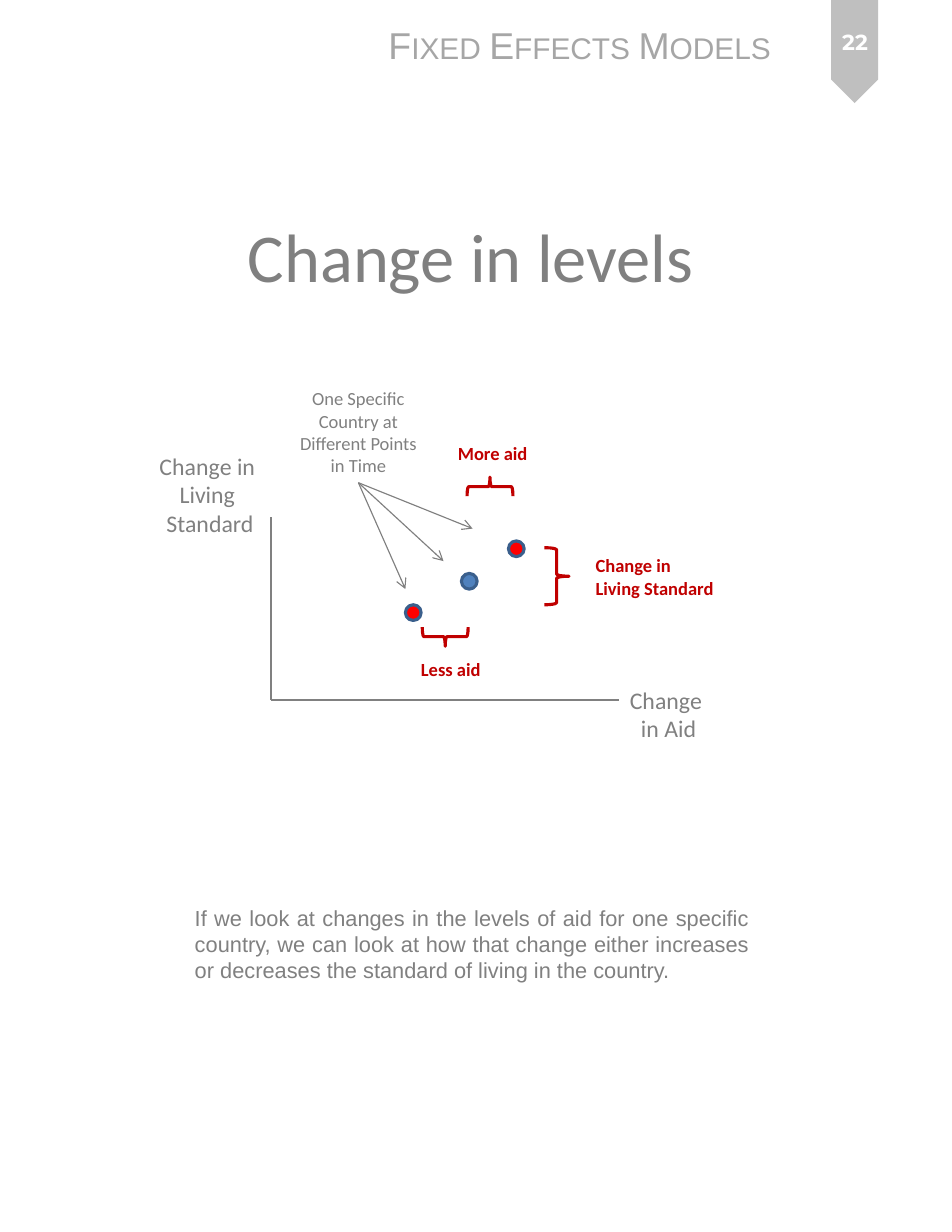
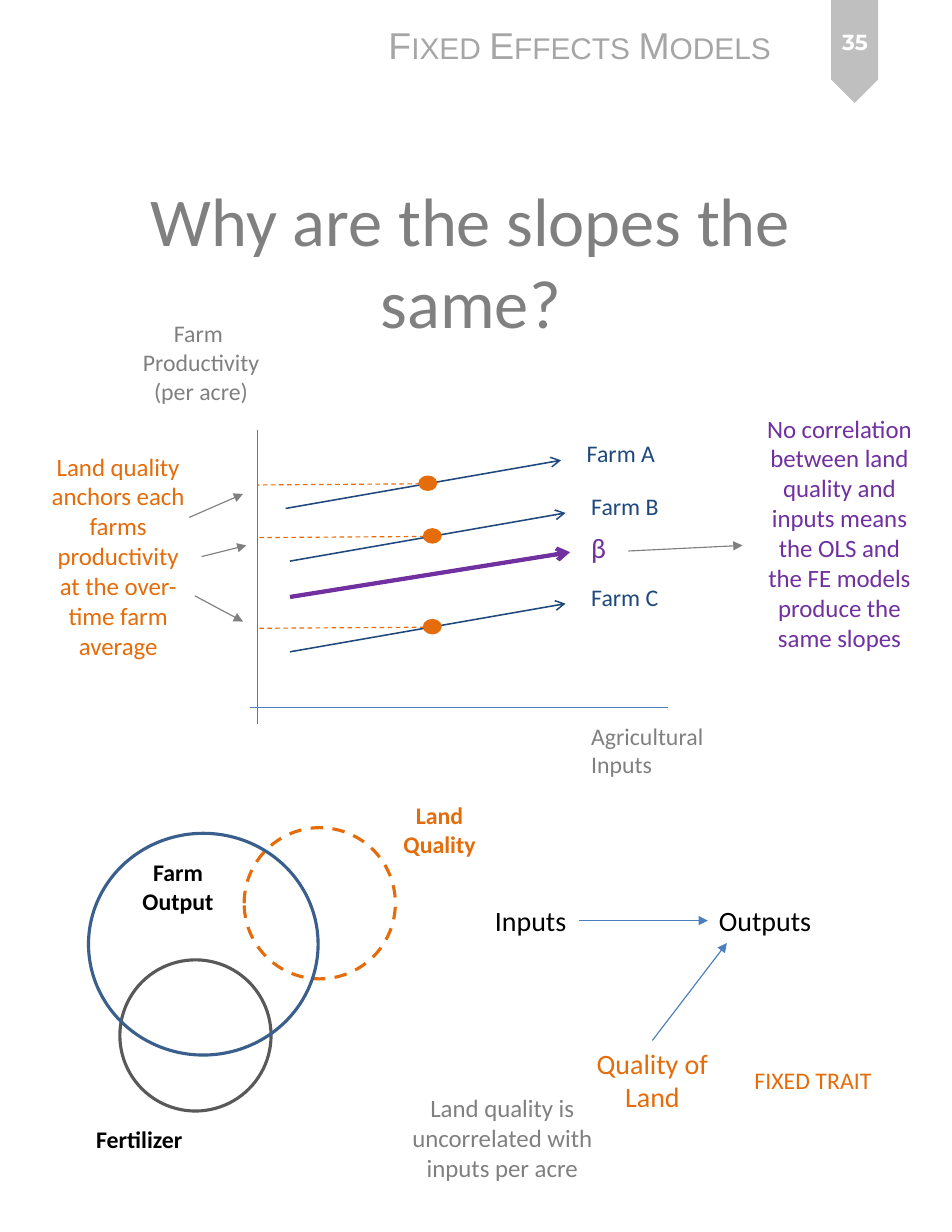
from dataclasses import dataclass

import lxml.etree
import pptx
import pptx.dml.color
import pptx.enum.dml
import pptx.enum.shapes
import pptx.enum.text
import pptx.oxml.ns
import pptx.util

Inches = pptx.util.Inches
Pt = pptx.util.Pt
ALIGN = pptx.enum.text.PP_ALIGN
ANCHOR = pptx.enum.text.MSO_ANCHOR
FIT = pptx.enum.text.MSO_AUTO_SIZE
SHAPE = pptx.enum.shapes.MSO_SHAPE
DASH = pptx.enum.dml.MSO_LINE.DASH
COLORS = {
    "band": "BFBFBF",
    "header": "A6A6A6",
    "gray": "808080",
    "dark": "595959",
    "white": "FFFFFF",
    "black": "000000",
    "red": "FF0000",
    "crimson": "C00000",
    "orange": "E46C0A",
    "purple": "7030A0",
    "navy": "1F497D",
    "blue": "4F81BD",
    "axis": "4B7EBC",
    "outline": "3A5F8C",
}


@dataclass
class Label:
    text: str
    left: float
    top: float
    width: float
    height: float
    size: float = 15.3
    color: str = "gray"
    bold: bool = False
    align: ALIGN = ALIGN.CENTER
    wrap: bool = False
    font: str = "Calibri"
    fill: str | None = None
    anchor: ANCHOR = ANCHOR.TOP
    fit: FIT = FIT.SHAPE_TO_FIT_TEXT


@dataclass
class Figure:
    kind: SHAPE
    left: float
    top: float
    width: float
    height: float
    fill: str | None = None
    line: str | None = None
    dashed: bool = False
    rotation: float = 0


@dataclass
class Stroke:
    start: tuple[float, float]
    end: tuple[float, float]
    color: str = "gray"
    weight: float = 0.75
    head: str | None = None
    dashed: bool = False


@dataclass
class Farm:
    name: str
    left: float
    top: float


def rgb(name: str) -> pptx.dml.color.RGBColor:
    return pptx.dml.color.RGBColor.from_string(COLORS[name])


def style(para, size: float, color: str, font: str, bold: bool, align: ALIGN) -> None:
    para.alignment = align
    para.font.size = Pt(size)
    para.font.name = font
    para.font.bold = bold
    para.font.color.rgb = rgb(color)


def draw_label(page, label: Label):
    box = page.shapes.add_textbox(
        Inches(label.left), Inches(label.top), Inches(label.width), Inches(label.height)
    )
    if label.fill:
        box.fill.solid()
        box.fill.fore_color.rgb = rgb(label.fill)
    frame = box.text_frame
    frame.word_wrap = label.wrap
    frame.auto_size = label.fit
    frame.vertical_anchor = label.anchor
    para = frame.paragraphs[0]
    para.text = label.text
    style(para, label.size, label.color, label.font, label.bold, label.align)
    return box


def draw_figure(page, figure: Figure) -> None:
    shape = page.shapes.add_shape(
        figure.kind,
        Inches(figure.left),
        Inches(figure.top),
        Inches(figure.width),
        Inches(figure.height),
    )
    shape.shadow.inherit = False
    shape.rotation = figure.rotation
    if figure.fill:
        shape.fill.solid()
        shape.fill.fore_color.rgb = rgb(figure.fill)
    else:
        shape.fill.background()
    if figure.line:
        shape.line.color.rgb = rgb(figure.line)
        shape.line.width = Pt(2)
    else:
        shape.line.fill.background()
    if figure.dashed:
        shape.line.dash_style = DASH


def draw_stroke(page, stroke: Stroke):
    points = [Inches(value) for value in (*stroke.start, *stroke.end)]
    connector = page.shapes.add_connector(
        pptx.enum.shapes.MSO_CONNECTOR.STRAIGHT, *points
    )
    connector.line.color.rgb = rgb(stroke.color)
    connector.line.width = Pt(stroke.weight)
    if stroke.dashed:
        connector.line.dash_style = DASH
    qualified = pptx.oxml.ns.qn
    properties = connector._element.spPr
    if stroke.head:
        outline = properties.find(qualified("a:ln"))
        lxml.etree.SubElement(outline, qualified("a:tailEnd"), type=stroke.head)
    lxml.etree.SubElement(properties, qualified("a:effectLst"))
    return connector


def draw_all(page, items: list[Label | Figure | Stroke]) -> None:
    drawers = {Label: draw_label, Figure: draw_figure, Stroke: draw_stroke}
    for item in items:
        drawers[type(item)](page, item)


def add_page(deck, title: str, title_top: float, number: str):
    page = deck.slides.add_slide(deck.slide_layouts[5])
    heading = page.shapes.title
    heading.left, heading.top = Inches(0.38), Inches(title_top)
    heading.width, heading.height = Inches(7.65), Inches(1.83)
    heading.text_frame.auto_size = FIT.NONE
    heading.text_frame.vertical_anchor = ANCHOR.MIDDLE
    heading.text_frame.text = title
    style(heading.text_frame.paragraphs[0], 44, "gray", "Calibri", False, ALIGN.CENTER)

    draw_figure(
        page, Figure(SHAPE.PENTAGON, 7.17, 0.25, 0.92, 0.42, fill="band", rotation=90)
    )
    header = draw_label(
        page,
        Label("Fixed Effects Models", 3.37, 0.15, 3.68, 0.5, 24, "header",
              align=ALIGN.LEFT, font="Arial"),
    )
    span = header.text_frame.paragraphs[0].runs[0]
    span._r.get_or_add_rPr().set("cap", "small")
    draw_label(
        page,
        Label(number, 7.26, 0.08, 0.75, 0.59, 14, "white", True, wrap=True,
              font="Montserrat", anchor=ANCHOR.MIDDLE, fit=FIT.NONE),
    )
    return page


def build_levels(deck) -> None:
    page = add_page(deck, "Change in levels", 1.36, "22")
    origin = (2.42, 6.25)
    draw_all(page, [Stroke((2.42, 4.62), origin), Stroke(origin, (5.53, 6.25))])
    for left, top, fill in ((4.12, 5.12, "blue"), (3.62, 5.4, "red"), (4.54, 4.83, "red")):
        draw_figure(page, Figure(SHAPE.OVAL, left, top, 0.14, 0.14, fill, "outline"))

    for left, top, width, height, rotation in (
        (4.86, 4.89, 0.22, 0.51, 0),
        (3.89, 5.48, 0.17, 0.41, 90),
        (4.29, 4.14, 0.17, 0.41, 270),
    ):
        draw_figure(
            page,
            Figure(SHAPE.RIGHT_BRACE, left, top, width, height,
                   line="crimson", rotation=rotation),
        )
    for text, left, top, width, height, fill in (
        ("Change in \nLiving Standard", 5.22, 4.9, 1.27, 0.5, None),
        ("Less aid", 3.66, 5.83, 0.74, 0.3, "white"),
        ("More aid", 3.99, 3.9, 0.83, 0.3, "white"),
    ):
        draw_label(
            page,
            Label(text, left, top, width, height, 11.9, "crimson", True,
                  ALIGN.LEFT, fill=fill),
        )

    draw_all(page, [
        Label("Change in \nLiving \nStandard", 1.32, 3.98, 1.11, 0.87),
        Label("Change \nin Aid", 5.52, 6.07, 0.9, 0.62),
        Label(
            "If we look at changes in the levels of aid for one specific country, "
            "we can look at how that change either increases or decreases the "
            "standard of living in the country.",
            1.64, 8.03, 5.15, 0.81, 14, align=ALIGN.JUSTIFY, wrap=True, font="Arial",
        ),
    ])
    country = draw_label(
        page,
        Label("One Specific Country at Different Points in Time",
              2.58, 3.41, 1.24, 0.9, 11.9, wrap=True),
    )
    for target in ((3.96, 5.01), (3.62, 5.26), (4.22, 4.72)):
        pointer = draw_stroke(page, Stroke((3.2, 4.31), target, head="arrow"))
        pointer.begin_connect(country, 2)


def build_slopes(deck) -> None:
    page = add_page(deck, "Why are the slopes the same?", 1.41, "35")
    draw_all(page, [
        Figure(SHAPE.OVAL, 2.18, 7.39, 1.35, 1.35, line="orange", dashed=True),
        Figure(SHAPE.OVAL, 1.07, 8.57, 1.35, 1.35, line="dark"),
        Figure(SHAPE.OVAL, 0.79, 7.44, 2.05, 1.98, line="outline"),
        Label("Farm\nOutput", 1.17, 7.61, 0.84, 0.62, color="black", bold=True),
        Label("Land\nQuality", 3.5, 7.1, 0.85, 0.62, color="orange", bold=True),
        Label("Fertilizer", 0.76, 9.99, 0.98, 0.36, color="black", bold=True,
              align=ALIGN.LEFT),
        Stroke((2.3, 3.84), (2.3, 6.46), "axis"),
        Stroke((5.96, 6.32), (2.23, 6.32), "axis"),
        Label("Agricultural \nInputs", 5.18, 6.39, 1.26, 0.62, align=ALIGN.LEFT),
        Label("Farm \nProductivity\n(per acre)", 1.17, 2.8, 1.25, 0.87),
        Stroke((2.59, 5.33), (5.09, 4.93), "purple", 2.75, "arrow"),
        Label("β", 5.18, 4.69, 0.34, 0.4, 18, "purple", align=ALIGN.LEFT),
        Label("FIXED TRAIT", 6.63, 9.47, 1.26, 0.36, color="orange"),
        Label("Land quality anchors each farms productivity at the over-time farm average",
              0.31, 3.98, 1.49, 1.99, 16, "orange", wrap=True),
        Label("Land quality is uncorrelated with inputs per acre",
              3.28, 9.71, 2.41, 0.91, 16, wrap=True),
        Label("No correlation between land quality and inputs means the OLS and "
              "the FE models produce the same slopes",
              6.75, 3.64, 1.49, 2.52, 16, "purple", wrap=True),
    ])

    for farm in (
        Farm("Farm A", 2.55, 4.54),
        Farm("Farm B", 2.59, 5.01),
        Farm("Farm C", 2.59, 5.82),
    ):
        end = (farm.left + 2.46, farm.top - 0.43)
        draw_all(page, [
            Stroke((farm.left, farm.top), end, "navy", 1, "arrow"),
            Label(farm.name, end[0] + 0.13, end[1] - 0.24, 0.81, 0.36,
                  color="navy", align=ALIGN.LEFT),
            Figure(SHAPE.OVAL, farm.left + 1.2, farm.top - 0.28, 0.14, 0.11,
                   "orange", "orange"),
            Stroke((farm.left + 1.2, farm.top - 0.22), (2.3, farm.top - 0.21),
                   "orange", dashed=True),
        ])
    for start, end in (
        ((1.74, 5.32), (2.17, 5.55)),
        ((1.8, 4.97), (2.2, 4.87)),
        ((1.69, 4.62), (2.17, 4.41)),
        ((5.61, 4.92), (6.63, 4.87)),
    ):
        draw_stroke(page, Stroke(start, end, head="triangle"))

    inputs, outputs, quality = (
        draw_label(page, label)
        for label in (
            Label("Inputs", 4.32, 8.02, 0.85, 0.4, 18, "black", align=ALIGN.LEFT),
            Label("Outputs", 6.32, 8.02, 1.03, 0.4, 18, "black", align=ALIGN.LEFT),
            Label("Quality of\nLand", 5.22, 9.29, 1.21, 0.71, 18, "orange"),
        )
    )
    effect = draw_stroke(page, Stroke((5.17, 8.22), (6.32, 8.22), "axis", head="triangle"))
    effect.begin_connect(inputs, 3)
    effect.end_connect(outputs, 1)
    influence = draw_stroke(
        page, Stroke((5.82, 9.29), (6.49, 8.42), "axis", head="triangle")
    )
    influence.begin_connect(quality, 0)


def main() -> None:
    deck = pptx.Presentation()
    deck.slide_width, deck.slide_height = Inches(8.5), Inches(11)
    build_levels(deck)
    build_slopes(deck)
    deck.save("out.pptx")


if __name__ == "__main__":
    main()
